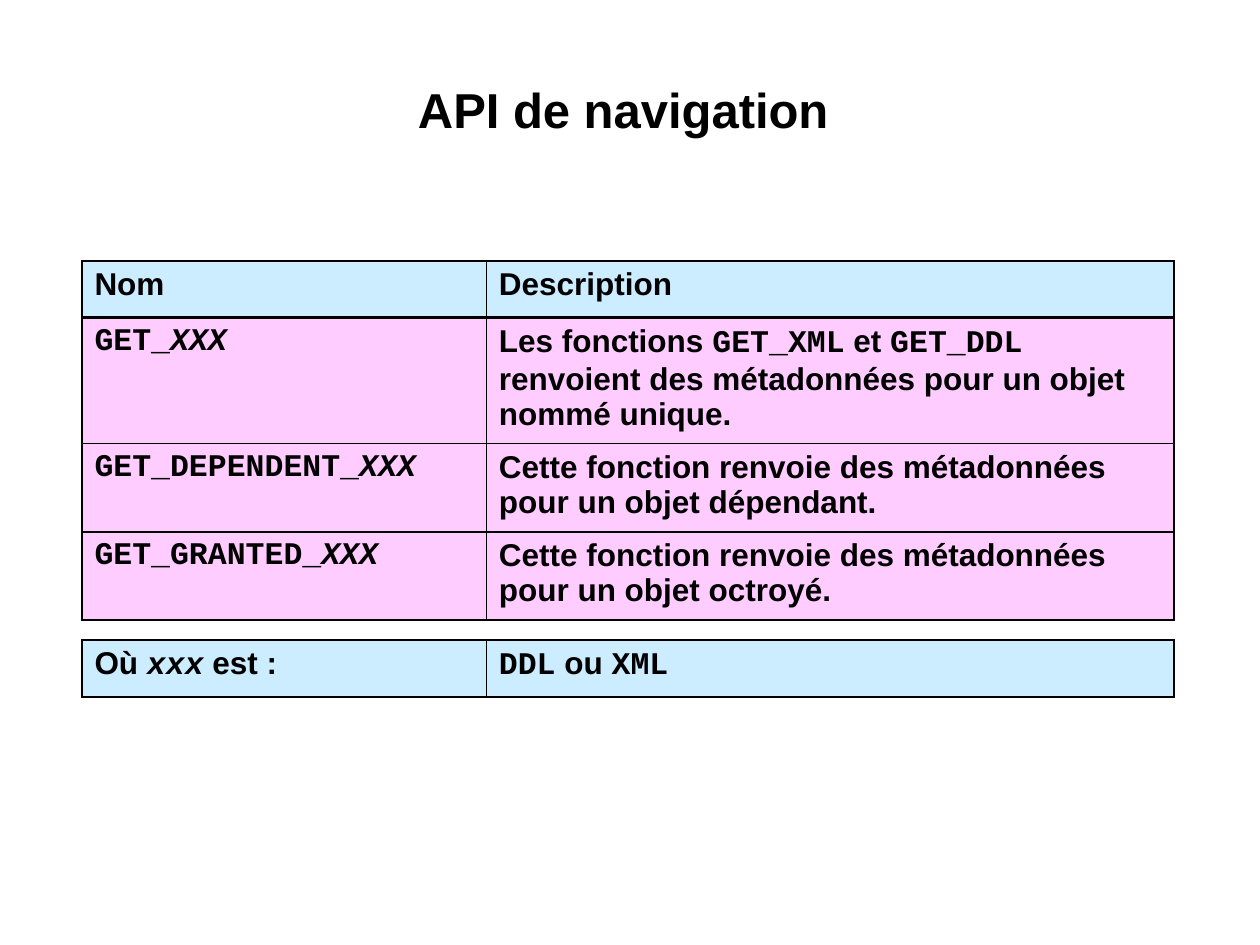
from lxml.etree import SubElement
from pptx import Presentation
from pptx.dml.color import RGBColor
from pptx.enum.text import MSO_ANCHOR, PP_ALIGN
from pptx.oxml.ns import qn
from pptx.util import Inches, Pt

BLACK = RGBColor(0x00, 0x00, 0x00)
BLUE = RGBColor(0xCC, 0xEC, 0xFF)
PINK = RGBColor(0xFF, 0xCC, 0xFF)
TEXT_FONT = "Arial"
CODE_FONT = "Courier New"
THIN, THICK = 1.08, 2.21
COLUMN_WIDTHS = [3.21, 5.46]


def set_borders(cell, top=THIN, bottom=THIN):
    """Draw black lines on all four sides; call before filling the cell."""
    properties = cell._tc.get_or_add_tcPr()
    for side, width in (("L", THIN), ("R", THIN), ("T", top), ("B", bottom)):
        line = SubElement(properties, qn(f"a:ln{side}"), w=str(Pt(width)))
        fill = SubElement(line, qn("a:solidFill"))
        SubElement(fill, qn("a:srgbClr"), val=str(BLACK))


def add_grid(slide, top, row_heights, rows, header_rule=False):
    """Add a table whose cells are lists of (text, font, italic) runs."""
    table = slide.shapes.add_table(
        len(rows), len(COLUMN_WIDTHS), Inches(0.65), Inches(top),
        Inches(sum(COLUMN_WIDTHS)), Inches(sum(row_heights))).table
    table.first_row = header_rule
    table.horz_banding = False
    for column, width in zip(table.columns, COLUMN_WIDTHS):
        column.width = Inches(width)
    for index, (height, contents) in enumerate(zip(row_heights, rows)):
        table.rows[index].height = Inches(height)
        for cell, runs in zip(table.rows[index].cells, contents):
            set_borders(cell,
                        top=THICK if header_rule and index == 1 else THIN,
                        bottom=THICK if header_rule and index == 0 else THIN)
            cell.fill.solid()
            cell.fill.fore_color.rgb = BLUE if index == 0 else PINK
            paragraph = cell.text_frame.paragraphs[0]
            for text, font_name, italic in runs:
                run = paragraph.add_run()
                run.text = text
                run.font.name = font_name
                run.font.size = Pt(18)
                run.font.bold = True
                run.font.italic = italic
                run.font.color.rgb = BLACK


presentation = Presentation()
presentation.slide_width = Inches(10)
presentation.slide_height = Inches(7.5)
slide = presentation.slides.add_slide(presentation.slide_layouts[5])

title = slide.shapes.title
title.left, title.top = Inches(1), Inches(0.58)
title.width, title.height = Inches(8), Inches(0.96)
frame = title.text_frame
frame.text = "API de navigation "
frame.vertical_anchor = MSO_ANCHOR.TOP
frame.margin_left = frame.margin_right = frame.margin_bottom = Inches(0.01)
frame.margin_top = Inches(0.05)
paragraph = frame.paragraphs[0]
paragraph.alignment = PP_ALIGN.CENTER
paragraph.font.name = TEXT_FONT
paragraph.font.size = Pt(28)
paragraph.font.bold = True
paragraph.font.color.rgb = BLACK

function_rows = [
    [[("Nom", TEXT_FONT, False)], [("Description", TEXT_FONT, False)]],
    [[("GET_", CODE_FONT, False), ("XXX", CODE_FONT, True)],
     [("Les fonctions ", TEXT_FONT, False), ("GET_XML", CODE_FONT, False),
      (" et ", TEXT_FONT, False), ("GET_DDL", CODE_FONT, False),
      (" renvoient des métadonnées pour un objet nommé unique.", TEXT_FONT, False)]],
]
for prefix, adjective in (("GET_DEPENDENT_", "dépendant"), ("GET_GRANTED_", "octroyé")):
    description = f"Cette fonction renvoie des métadonnées pour un objet {adjective}."
    function_rows.append([
        [(prefix, CODE_FONT, False), ("XXX", CODE_FONT, True)],
        [(description, TEXT_FONT, False)]])
add_grid(slide, 2.07, [0.45, 1, 0.7, 0.7], function_rows, header_rule=True)

legend_rows = [
    [[("Où ", TEXT_FONT, False), ("xxx", CODE_FONT, True), (" est :", TEXT_FONT, False)],
     [("DDL", CODE_FONT, False), (" ou ", TEXT_FONT, False), ("XML", CODE_FONT, False)]],
]
add_grid(slide, 5.08, [0.45], legend_rows)

presentation.save("out.pptx")
